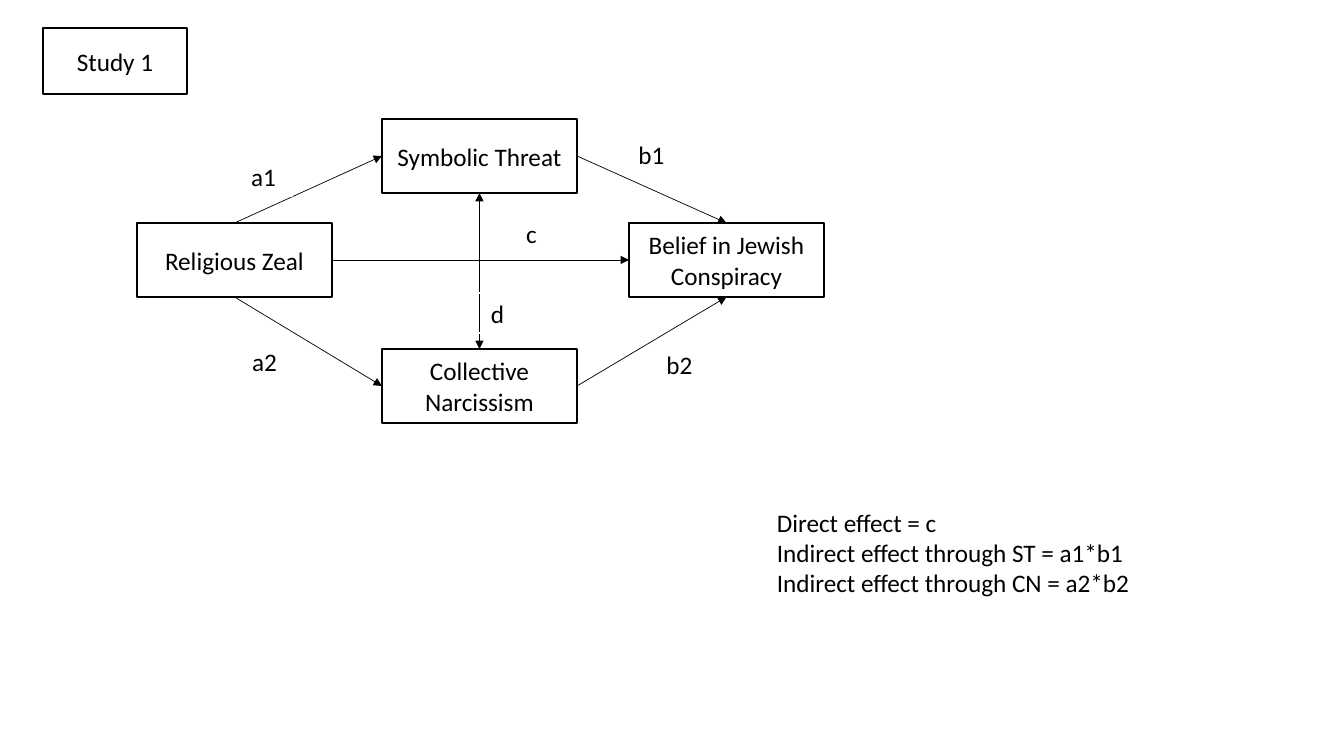
import pptx
import pptx.dml.color
import pptx.enum.shapes
import pptx.enum.text
import pptx.oxml.ns
import pptx.util
from lxml import etree

# Content: lengths in px
SCALE = 914400 / 100.8
COLORS = {"ink": "000000", "paper": "FFFFFF"}
FONT, FONT_SIZE = "Calibri", 18
SLIDE_WIDTH, SLIDE_HEIGHT = 1344, 756

STUDY = ("Study 1", 43, 28, 144, 66)
VARIABLE_SIZE = (195, 74)
VARIABLES = {  # name: (text, left, top)
    "zeal": ("Religious Zeal", 137, 223),
    "narcissism": ("Collective Narcissism", 382, 349),
    "threat": ("Symbolic Threat", 382, 119),
    "belief": ("Belief in Jewish Conspiracy", 629, 223),
}

TOP, LEFT, BOTTOM, RIGHT = range(4)
PATHS = [  # start, side, end, side, arrowheads
    ("zeal", BOTTOM, "narcissism", LEFT, ["tailEnd"]),
    ("zeal", TOP, "threat", LEFT, ["tailEnd"]),
    ("threat", RIGHT, "belief", TOP, ["tailEnd"]),
    ("narcissism", RIGHT, "belief", BOTTOM, ["tailEnd"]),
    ("zeal", RIGHT, "belief", LEFT, ["tailEnd"]),
    ("threat", BOTTOM, "narcissism", TOP, ["headEnd", "tailEnd"]),
]

LABEL_SIZE = (57, 40)
LABELS = [
    ("a1", 235, 156),
    ("a2", 236, 341),
    ("b1", 623, 134),
    ("b2", 651, 344),
    ("c", 503, 213),
    ("d", 469, 293),
]
EFFECTS = ("Direct effect = c\nIndirect effect through ST = a1*b1\n"
           "Indirect effect through CN = a2*b2", 767, 502, 464, 125)


def px(length):
    return pptx.util.Emu(round(length * SCALE))


def color(name):
    return pptx.dml.color.RGBColor.from_string(COLORS[name])


def add_box(slide, text, left, top, width, height, line, fill=None,
            align=pptx.enum.text.PP_ALIGN.CENTER,
            anchor=pptx.enum.text.MSO_ANCHOR.MIDDLE):
    shape = slide.shapes.add_shape(
        pptx.enum.shapes.MSO_SHAPE.RECTANGLE,
        px(left), px(top), px(width), px(height))
    shape.shadow.inherit = False
    if fill:
        shape.fill.solid()
        shape.fill.fore_color.rgb = color(fill)
    else:
        shape.fill.background()
    shape.line.color.rgb = color(line)
    shape.line.width = pptx.util.Pt(1)
    frame = shape.text_frame
    frame.word_wrap = True
    frame.vertical_anchor = anchor
    frame.text = text
    for paragraph in frame.paragraphs:
        paragraph.alignment = align
        paragraph.font.name = FONT
        paragraph.font.size = pptx.util.Pt(FONT_SIZE)
        paragraph.font.color.rgb = color("ink")
    return shape


def add_path(slide, start, start_side, end, end_side, arrowheads):
    connector = slide.shapes.add_connector(
        pptx.enum.shapes.MSO_CONNECTOR.STRAIGHT, 0, 0, 0, 0)
    connector.begin_connect(start, start_side)
    connector.end_connect(end, end_side)
    connector.line.color.rgb = color("ink")
    connector.line.width = pptx.util.Pt(0.5)
    outline = connector.line._get_or_add_ln()
    for arrowhead in arrowheads:
        etree.SubElement(outline, pptx.oxml.ns.qn("a:" + arrowhead), type="triangle")
    etree.SubElement(connector._element.spPr, pptx.oxml.ns.qn("a:effectLst"))


def main():
    presentation = pptx.Presentation()
    presentation.slide_width = px(SLIDE_WIDTH)
    presentation.slide_height = px(SLIDE_HEIGHT)
    slide = presentation.slides.add_slide(presentation.slide_layouts[6])

    # Study title and variables
    add_box(slide, *STUDY, line="ink")
    boxes = {name: add_box(slide, *variable, *VARIABLE_SIZE, line="ink", fill="paper")
             for name, variable in VARIABLES.items()}

    # Paths between variables
    for start, start_side, end, end_side, arrowheads in PATHS:
        add_path(slide, boxes[start], start_side, boxes[end], end_side, arrowheads)

    # Path labels
    for label in LABELS:
        add_box(slide, *label, *LABEL_SIZE, line="paper")

    # Effects
    add_box(slide, *EFFECTS, line="paper", align=pptx.enum.text.PP_ALIGN.LEFT,
            anchor=pptx.enum.text.MSO_ANCHOR.TOP)

    presentation.save("out.pptx")


if __name__ == "__main__":
    main()
